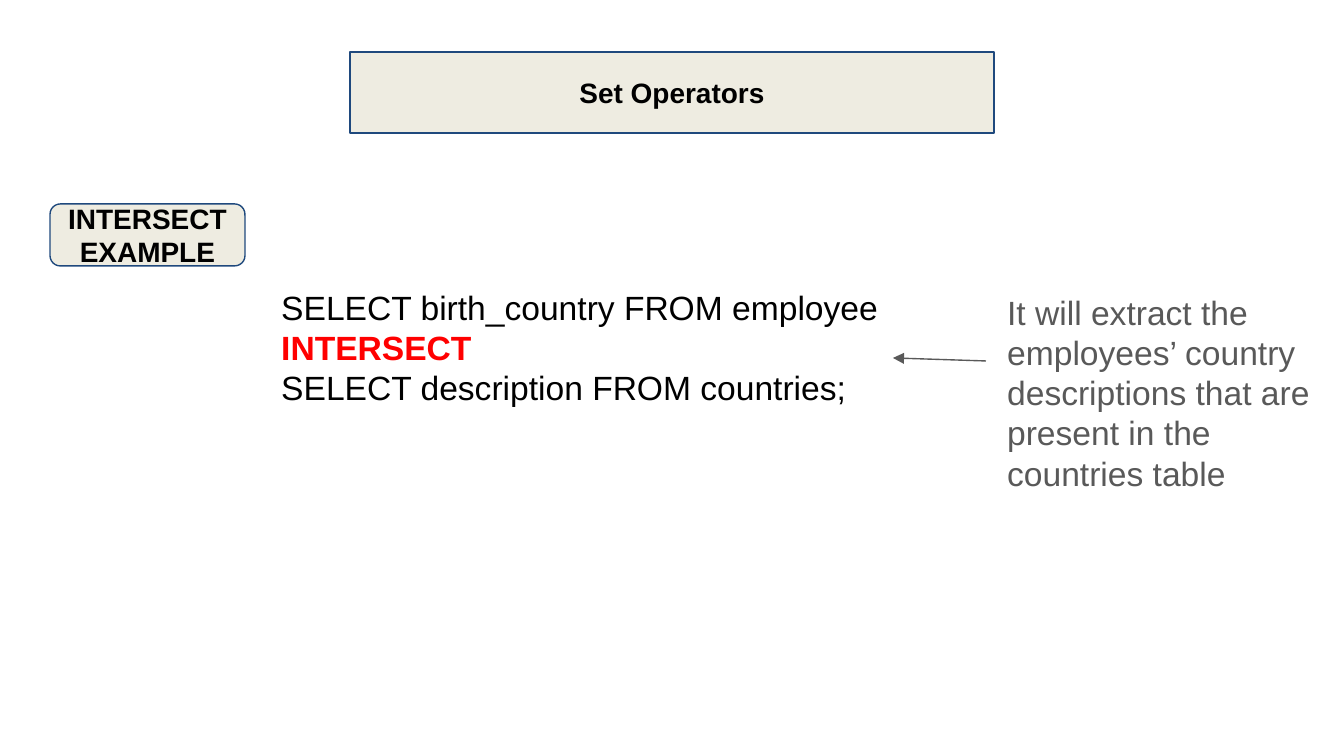
import pptx
import pptx.dml.color
import pptx.enum.shapes
import pptx.enum.text
import pptx.oxml
import pptx.oxml.ns
import pptx.util

SCALE = 914400 / 134.4
FONT = "Arial"
BLACK, RED, GREY = "000000", "FF0000", "595959"
CREAM, NAVY = "EEECE1", "1F497D"


def px(n):
    """Turn pixels into EMU."""
    return pptx.util.Emu(round(n * SCALE))


def color(value):
    """Turn a hex string into a colour."""
    return pptx.dml.color.RGBColor.from_string(value)


def set_text(sp, lines, size, align, anchor):
    """Write lines of (text, colour, bold) into a shape."""
    tf = sp.text_frame
    tf.word_wrap = True
    tf.auto_size = pptx.enum.text.MSO_AUTO_SIZE.NONE
    tf.vertical_anchor = anchor
    tf.margin_left = tf.margin_top = tf.margin_right = tf.margin_bottom = pptx.util.Inches(0.1)
    for i, (text, hex_color, bold) in enumerate(lines):
        p = tf.add_paragraph() if i else tf.paragraphs[0]
        p.text = text
        p.alignment = align
        p.font.name = FONT
        p.font.size = pptx.util.Pt(size)
        p.font.bold = bold
        p.font.color.rgb = color(hex_color)


def format_label(sp, lines):
    """Give a rounded box its fill, outline and centred bold text."""
    sp.fill.solid()
    sp.fill.fore_color.rgb = color(CREAM)
    sp.line.color.rgb = color(NAVY)
    sp.line.width = pptx.util.Pt(0.75)
    set_text(sp, [(text, BLACK, True) for text in lines], 15,
             pptx.enum.text.PP_ALIGN.CENTER, pptx.enum.text.MSO_ANCHOR.MIDDLE)


def add_title(s, text, x, y, w, h):
    """Shape the title placeholder as a rounded box."""
    sp = s.shapes.title
    sp.left, sp.top, sp.width, sp.height = map(px, (x, y, w, h))
    geom = pptx.oxml.parse_xml(
        f'<a:prstGeom {pptx.oxml.ns.nsdecls("a")} prst="roundRect"><a:avLst/></a:prstGeom>')
    sp.element.spPr.find(pptx.oxml.ns.qn("a:xfrm")).addnext(geom)
    format_label(sp, [text])


def add_label(s, lines, x, y, w, h):
    """Add a rounded box with centred lines."""
    kind = pptx.enum.shapes.MSO_SHAPE.ROUNDED_RECTANGLE
    sp = s.shapes.add_shape(kind, *map(px, (x, y, w, h)))
    sp.shadow.inherit = False
    format_label(sp, lines)


def add_text(s, lines, x, y, w, h):
    """Add a left-aligned text box."""
    sp = s.shapes.add_textbox(*map(px, (x, y, w, h)))
    set_text(sp, lines, 18, pptx.enum.text.PP_ALIGN.LEFT, pptx.enum.text.MSO_ANCHOR.TOP)


def add_arrow(s, x1, y1, x2, y2):
    """Add a thin line with a triangle at its end."""
    kind = pptx.enum.shapes.MSO_CONNECTOR.STRAIGHT
    line = s.shapes.add_connector(kind, *map(px, (x1, y1, x2, y2)))
    line.line.color.rgb = color(GREY)
    line.line.width = pptx.util.Pt(0.75)
    ns = pptx.oxml.ns.nsdecls("a")
    line.line._get_or_add_ln().append(pptx.oxml.parse_xml(f'<a:tailEnd {ns} type="triangle"/>'))
    line.element.spPr.append(pptx.oxml.parse_xml(f"<a:effectLst {ns}/>"))


def main():
    """Build the slide and save it."""
    prs = pptx.Presentation()
    prs.slide_width, prs.slide_height = px(1344), px(756)
    s = prs.slides.add_slide(prs.slide_layouts[5])
    add_title(s, "Set Operators", 350, 52, 644, 81)
    add_label(s, ["INTERSECT", "EXAMPLE"], 50, 204, 195, 62)
    add_text(s, [
        ("SELECT birth_country FROM employee", BLACK, False),
        ("INTERSECT", RED, True),
        ("SELECT description FROM countries;", BLACK, False),
    ], 268, 273, 687, 150)
    add_arrow(s, 986, 361, 893, 358)
    add_text(s, [(
        "It will extract the employees’ country descriptions "
        "that are present in the countries table", GREY, False,
    )], 994, 278, 331, 128)
    prs.save("out.pptx")


if __name__ == "__main__":
    main()
